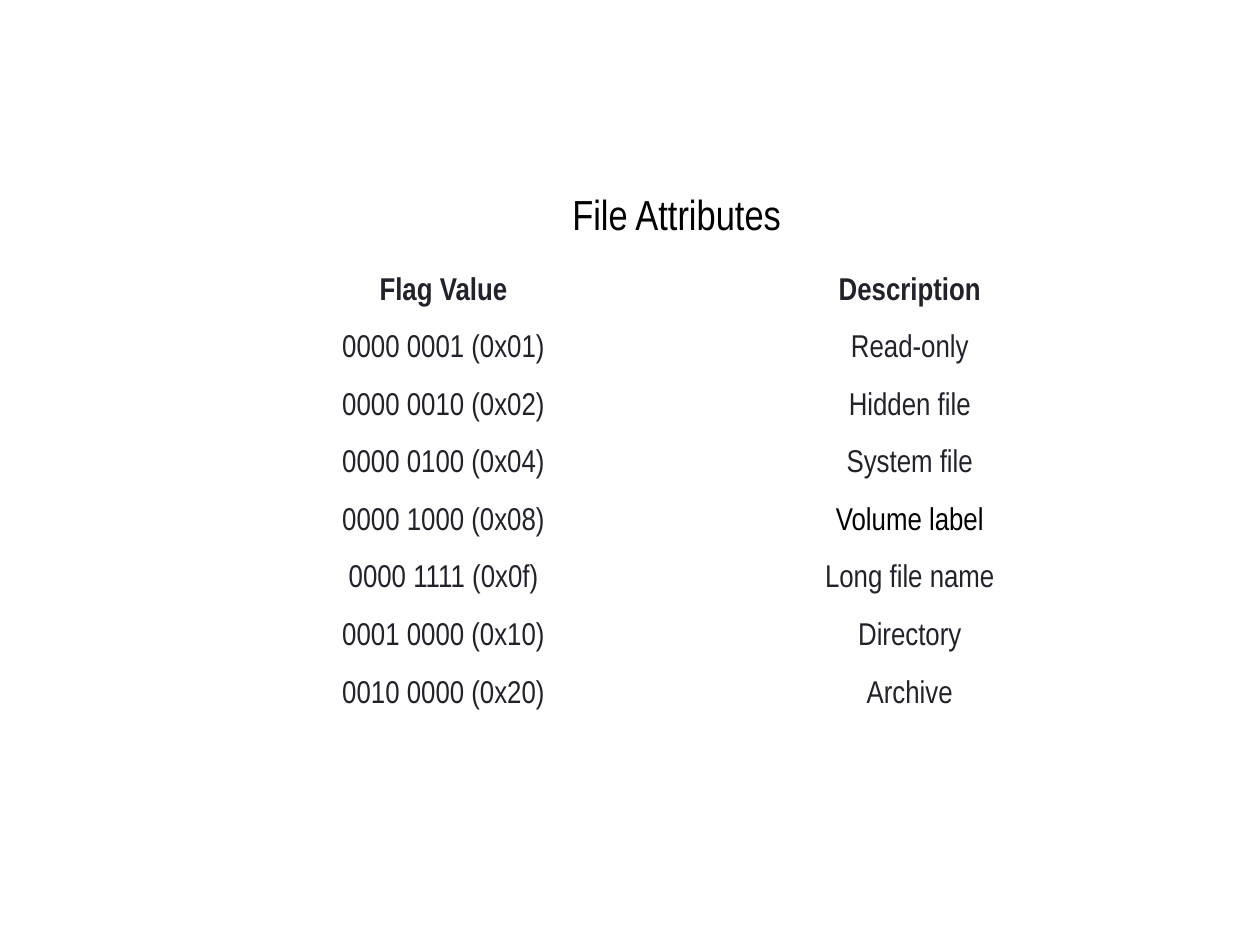
from pptx import Presentation
from pptx import util as u
from pptx.dml import color
from pptx.enum import text

ROWS = [
    ("Flag Value", "Description"),
    ("0000 0001 (0x01)", "Read-only"),
    ("0000 0010 (0x02)", "Hidden file"),
    ("0000 0100 (0x04)", "System file"),
    ("0000 1000 (0x08)", "Volume label"),
    ("0000 1111 (0x0f)", "Long file name"),
    ("0001 0000 (0x10)", "Directory"),
    ("0010 0000 (0x20)", "Archive"),
]


def paint(value):
    return color.RGBColor.from_string(value)


class Deck:
    font = "Arial Narrow"
    ink = "25212A"
    black = "000000"

    def __init__(self, wide, high):
        self.show = Presentation()
        self.show.slide_width = u.Cm(wide)
        self.show.slide_height = u.Cm(high)
        self.slide = self.show.slides.add_slide(self.show.slide_layouts[6])

    def cell(self, cell, words, size=18, ink=ink, bold=False,
             anchor=text.MSO_ANCHOR.MIDDLE, pad=(0.28, 0.13)):
        cell.fill.background()
        cell.vertical_anchor = anchor
        cell.margin_left = cell.margin_right = u.Cm(pad[0])
        cell.margin_top = cell.margin_bottom = u.Cm(pad[1])
        para = cell.text_frame.paragraphs[0]
        para.alignment = text.PP_ALIGN.CENTER
        run = para.add_run()
        run.text = words
        run.font.name = self.font
        run.font.size = u.Pt(size)
        run.font.bold = bold
        run.font.color.rgb = paint(ink)

    def table(self, title, rows, left, top, col, head, row):
        high = head + row * len(rows)
        frame = self.slide.shapes.add_table(
            len(rows) + 1, 2, u.Cm(left), u.Cm(top), u.Cm(2 * col), u.Cm(high))
        grid = frame.table
        grid.first_row = grid.horz_banding = False
        for line in grid.rows:
            line.height = u.Cm(row)
        grid.rows[0].height = u.Cm(head)
        grid.cell(0, 0).merge(grid.cell(0, 1))
        grid.cell(0, 1).fill.background()
        self.cell(grid.cell(0, 0), title, 24, self.black,
                  anchor=text.MSO_ANCHOR.TOP)
        for r, pair in enumerate(rows, 1):
            for c, words in enumerate(pair):
                odd = words == "Volume label"
                self.cell(grid.cell(r, c), words, bold=r == 1,
                          ink=self.black if odd else self.ink,
                          pad=(0.1, 0.1) if odd else (0.28, 0.13))


def main():
    deck = Deck(25.4, 19.05)
    deck.table("File Attributes", ROWS, left=4.24, top=3.89,
               col=9.4, head=1.42, row=1.16)
    deck.show.save("out.pptx")


if __name__ == "__main__":
    main()
